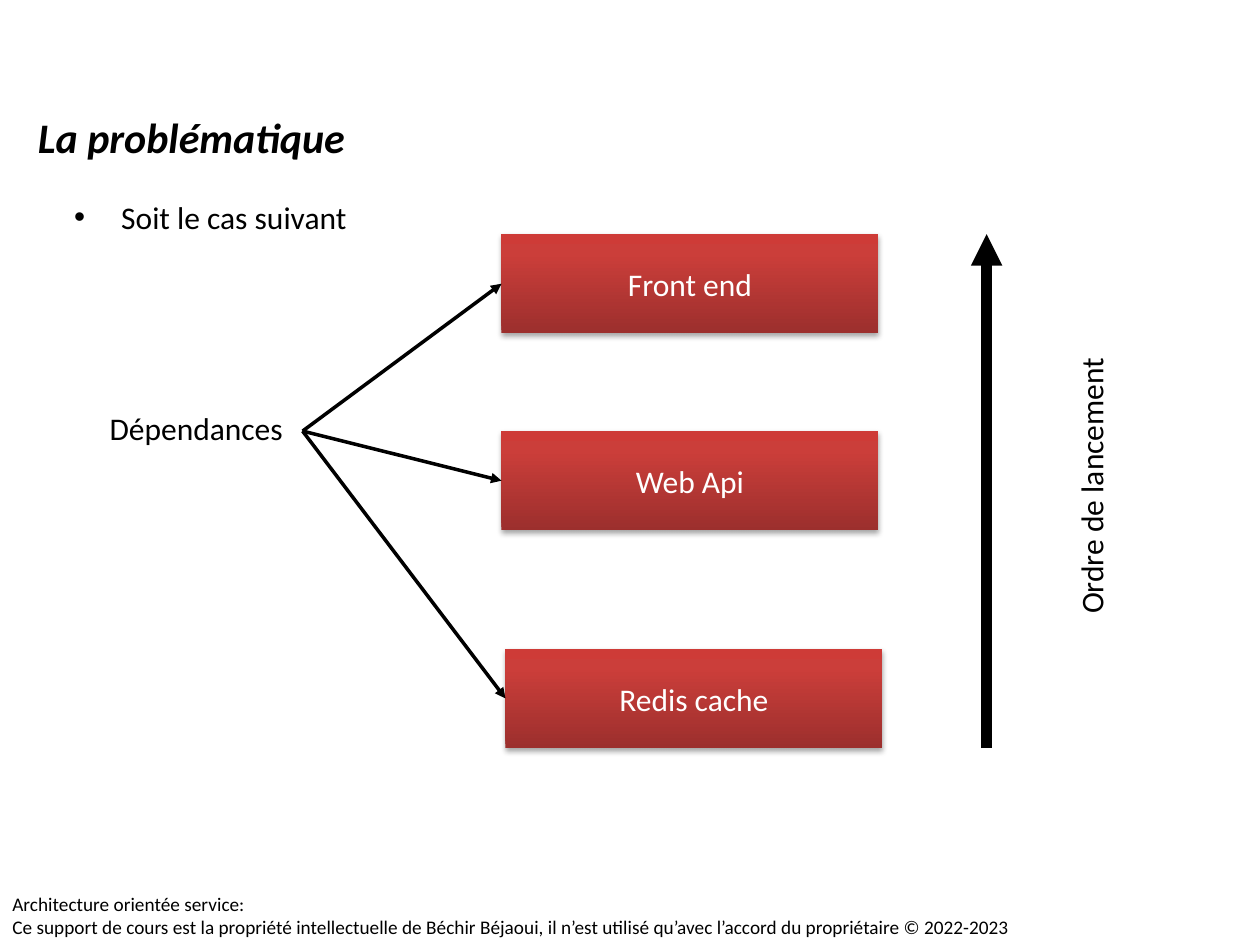
from dataclasses import dataclass

from lxml import etree
from pptx import Presentation
from pptx.dml.color import RGBColor
from pptx.enum.shapes import MSO_CONNECTOR, MSO_SHAPE
from pptx.enum.text import MSO_ANCHOR, MSO_AUTO_SIZE, PP_ALIGN
from pptx.oxml.ns import qn
from pptx.util import Cm, Pt

RECT = MSO_SHAPE.RECTANGLE
STRAIGHT = MSO_CONNECTOR.STRAIGHT
LEFT, CENTER = PP_ALIGN.LEFT, PP_ALIGN.CENTER
TOP, MIDDLE = MSO_ANCHOR.TOP, MSO_ANCHOR.MIDDLE
FIT, FIXED = MSO_AUTO_SIZE.SHAPE_TO_FIT_TEXT, MSO_AUTO_SIZE.NONE


@dataclass(frozen=True)
class Theme:
    font: str = "Calibri"
    black: str = "000000"
    white: str = "FFFFFF"
    reds: tuple = ((0, "9C2F2D"), (80, "CB3E3A"), (100, "CE3B37"))
    title: int = 24
    body: int = 18
    footer: int = 11


THEME = Theme()
BOX_W, BOX_H = 7.6, 2.0
BOXES = (("Front end", 10.11, 4.72), ("Web Api", 10.11, 8.69), ("Redis cache", 10.19, 13.08))
HUB = (6.1, 8.69)
ORDER_X = 19.89


def add(parent, tag, **attrs):
    return etree.SubElement(parent, qn(tag), {k: str(v) for k, v in attrs.items()})


def place(sp, x, y, w, h):
    sp.left, sp.top, sp.width, sp.height = Cm(x), Cm(y), Cm(w), Cm(h)


def style(p, size, color=THEME.black, align=LEFT):
    p.alignment = align
    p.font.name = THEME.font
    p.font.size = Pt(size)
    p.font.color.rgb = RGBColor.from_string(color)


def add_title(s, text):
    sp = s.shapes.title
    place(sp, 0.51, 2.13, 7.47, 1.28)
    tf = sp.text_frame
    tf.text = text
    tf.word_wrap, tf.auto_size, tf.vertical_anchor = False, FIT, TOP
    p = tf.paragraphs[0]
    style(p, THEME.title)
    p.font.bold = p.font.italic = True


def add_body(s, text):
    sp = s.placeholders[1]
    place(sp, 1.24, 3.86, 22.61, 6.27)
    tf = sp.text_frame
    tf.text = text
    tf.auto_size = FIXED
    p = tf.paragraphs[0]
    pPr = p._p.get_or_add_pPr()
    pPr.set("marL", str(Cm(0.95)))
    pPr.set("indent", str(-Cm(0.95)))
    add(pPr, "a:buFont", typeface="Arial")
    add(pPr, "a:buChar", char="•")
    p.space_before = Pt(0)
    style(p, THEME.body)


def add_text(s, text, x, y, w, h, size=THEME.body, wrap=False, rotation=0):
    sp = s.shapes.add_textbox(Cm(x), Cm(y), Cm(w), Cm(h))
    sp.rotation = rotation
    tf = sp.text_frame
    tf.text = text
    tf.word_wrap, tf.auto_size = wrap, FIT
    for p in tf.paragraphs:
        style(p, size)


def paint_gradient(sp):
    sp.fill.gradient()
    grad = sp._element.spPr.find(qn("a:gradFill"))
    stops = grad.find(qn("a:gsLst"))
    for stop in list(stops):
        stops.remove(stop)
    for pos, color in THEME.reds:
        add(add(stops, "a:gs", pos=pos * 1000), "a:srgbClr", val=color)
    sp.fill.gradient_angle = 90


def add_soft_shadow(sp):
    sp.shadow.inherit = False
    effects = sp._element.spPr.find(qn("a:effectLst"))
    shadow = add(effects, "a:outerShdw", blurRad=Pt(3.1), dist=Pt(1.8),
                 dir=5400000, rotWithShape=0)
    add(add(shadow, "a:srgbClr", val=THEME.black), "a:alpha", val=35000)


def add_box(s, text, x, y):
    sp = s.shapes.add_shape(RECT, Cm(x), Cm(y), Cm(BOX_W), Cm(BOX_H))
    paint_gradient(sp)
    sp.line.fill.background()
    add_soft_shadow(sp)
    tf = sp.text_frame
    tf.text = text
    tf.vertical_anchor = MIDDLE
    style(tf.paragraphs[0], THEME.body, THEME.white, CENTER)


def add_arrow(s, start, end, width):
    cx = s.shapes.add_connector(STRAIGHT, *(Cm(v) for v in start + end))
    cx.line.width = Pt(width)
    cx.line.color.rgb = RGBColor.from_string(THEME.black)
    add(cx.line._get_or_add_ln(), "a:tailEnd", type="triangle")
    add(cx._element.spPr, "a:effectLst")


def main():
    prs = Presentation()
    prs.slide_width, prs.slide_height = Cm(25.4), Cm(19.05)
    s = prs.slides.add_slide(prs.slide_layouts[1])
    add_text(s, "Architecture orientée service:\n"
             "Ce support de cours est la propriété intellectuelle de Béchir Béjaoui, "
             "il n’est utilisé qu’avec l’accord du propriétaire © 2022-2023",
             0, 17.86, 24.41, 1.19, THEME.footer, wrap=True)
    add_title(s, "La problématique")
    add_body(s, "Soit le cas suivant")
    for text, x, y in BOXES:
        add_box(s, text, x, y)
        add_arrow(s, HUB, (x, y + BOX_H / 2), 2)
    top, bottom = BOXES[0][2], BOXES[-1][2] + BOX_H
    add_arrow(s, (ORDER_X, bottom), (ORDER_X, top), 6)
    add_text(s, "Ordre de lancement", 19.05, 9.17, 5.89, 1.02, rotation=270)
    add_text(s, "Dépendances", 1.96, 8.13, 4.06, 1.02)
    prs.save("out.pptx")


if __name__ == "__main__":
    main()
